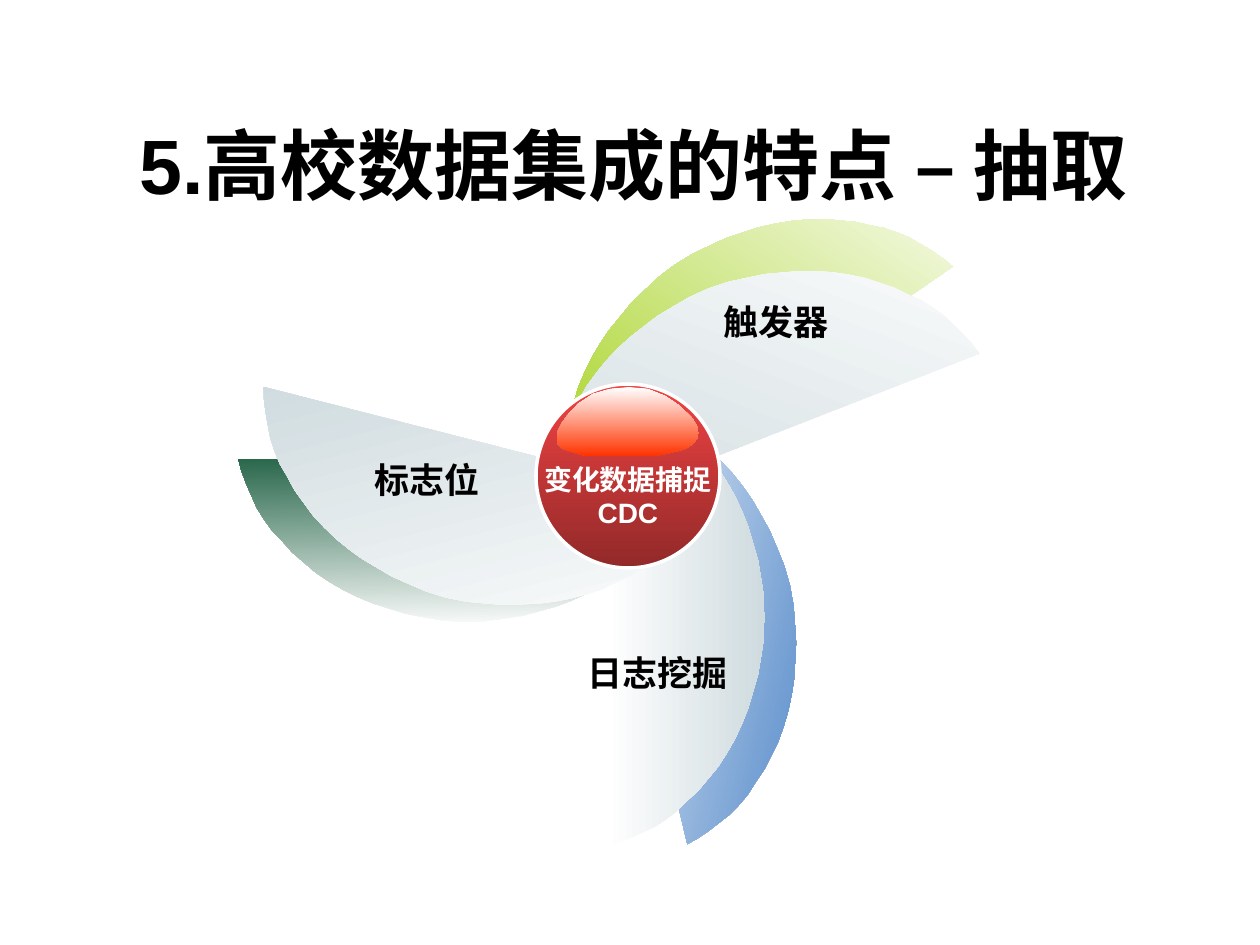
from pptx import Presentation
from pptx.dml.color import RGBColor
from pptx.enum import shapes, text
from pptx.oxml import ns
from pptx import util as u

PX = 914400 / 126
WHITE = RGBColor(0xFF, 0xFF, 0xFF)
BLACK = RGBColor(0, 0, 0)
BLUE = RGBColor(0x44, 0x7E, 0xC4)
GREEN = RGBColor(0x2A, 0x68, 0x4C)
LIME = RGBColor(0x99, 0xCC, 0x00)
GREY = RGBColor(0xCF, 0xDB, 0xDF)
RED = RGBColor(0xF1, 0x43, 0x43)
DARK_RED = RGBColor(0x92, 0x29, 0x29)
ORANGE = RGBColor(0xFF, 0x33, 0x00)

BLADE_HEIGHT = 457
HALF_BLADE = [
    (0, 0), (11, 3), (24, 8), (35, 13), (48, 19), (59, 26), (71, 35),
    (81, 45), (92, 55), (102, 67), (112, 79), (121, 93), (129, 107),
    (136, 122), (142, 137), (147, 154), (152, 171), (155, 189),
    (158, 208), (159, 228),
]
BLADE = HALF_BLADE + [(x, BLADE_HEIGHT - y) for x, y in reversed(HALF_BLADE)]
GLOSS = [
    (697, 426), (699, 433), (698, 437), (693, 444), (685, 449), (674, 452),
    (660, 455), (645, 456), (607, 456), (593, 456), (582, 455), (572, 452),
    (563, 449), (558, 444), (557, 438), (558, 431), (562, 423), (567, 416),
    (578, 404), (593, 394), (610, 389), (629, 387), (648, 389), (665, 396),
    (680, 406), (692, 418),
]
BLADES = [
    (633, 375, 346.8, BLUE),
    (386, 314, 91, GREEN),
    (640, 102, 235.5, LIME),
    (606, 389, 0, GREY),
    (386, 292, 104.3, GREY),
    (658, 134, 248.7, GREY),
]


def px(*values):
    return [u.Emu(round(v * PX)) for v in values]


class Deck:
    font = "Arial"

    def __init__(self):
        self.prs = Presentation()
        self.prs.slide_width, self.prs.slide_height = px(1260, 945)
        self.s = self.prs.slides.add_slide(self.prs.slide_layouts[5])

    def fill_text(self, tf, words, size, color, align):
        tf.word_wrap = True
        tf.text = words
        for p in tf.paragraphs:
            p.alignment = align
            for r in p.runs:
                r.font.name = self.font
                r.font.size = u.Pt(size)
                r.font.bold = True
                r.font.color.rgb = color

    def title(self, words, *box):
        sp = self.s.shapes.title
        sp.left, sp.top, sp.width, sp.height = px(*box)
        tf = sp.text_frame
        self.fill_text(tf, words, 44, BLACK, text.PP_ALIGN.CENTER)
        tf.auto_size = text.MSO_AUTO_SIZE.NONE
        tf.vertical_anchor = text.MSO_ANCHOR.MIDDLE

    def label(self, words, box, align, size=20, color=BLACK):
        tf = self.s.shapes.add_textbox(*px(*box)).text_frame
        self.fill_text(tf, words, size, color, align)
        tf.auto_size = text.MSO_AUTO_SIZE.SHAPE_TO_FIT_TEXT

    def shade(self, sp, start, end, angle):
        sp.shadow.inherit = False
        sp.line.fill.background()
        sp.fill.gradient()
        sp.fill.gradient_angle = angle
        for stop, color in zip(sp.fill.gradient_stops, (start, end)):
            stop.color.rgb = color
        grad = sp._element.spPr.find(ns.qn("a:gradFill"))
        grad.set("rotWithShape", "0")

    def outline(self, points, end, angle, x=0, y=0):
        points = [(x + dx, y + dy) for dx, dy in points]
        builder = self.s.shapes.build_freeform(*points[0], scale=PX)
        builder.add_line_segments(points[1:], close=True)
        sp = builder.convert_to_shape()
        self.shade(sp, WHITE, end, angle)
        return sp

    def blade(self, x, y, rotation, color):
        sp = self.outline(BLADE, color, rotation, x, y)
        sp.rotation = rotation

    def ball(self, x, y, size):
        sp = self.s.shapes.add_shape(
            shapes.MSO_SHAPE.OVAL, *px(x, y, size, size))
        self.shade(sp, RED, DARK_RED, 270)
        sp.line.color.rgb = WHITE
        sp.line.width = u.Pt(2)


def main():
    deck = Deck()
    deck.title("5.高校数据集成的特点 – 抽取", 54, 125, 1160, 78)
    for blade in BLADES:
        deck.blade(*blade)
    deck.ball(536, 384, 184)
    deck.outline(GLOSS, ORANGE, 270)
    deck.label("变化数据捕捉\nCDC", (514, 456, 228, 81),
               text.PP_ALIGN.CENTER, 16, WHITE)
    deck.label("标志位", (343, 452, 149, 55), text.PP_ALIGN.RIGHT)
    deck.label("触发器", (711, 294, 137, 55), text.PP_ALIGN.LEFT)
    deck.label("日志挖掘", (566, 645, 174, 55), text.PP_ALIGN.RIGHT)
    deck.prs.save("out.pptx")


if __name__ == "__main__":
    main()
